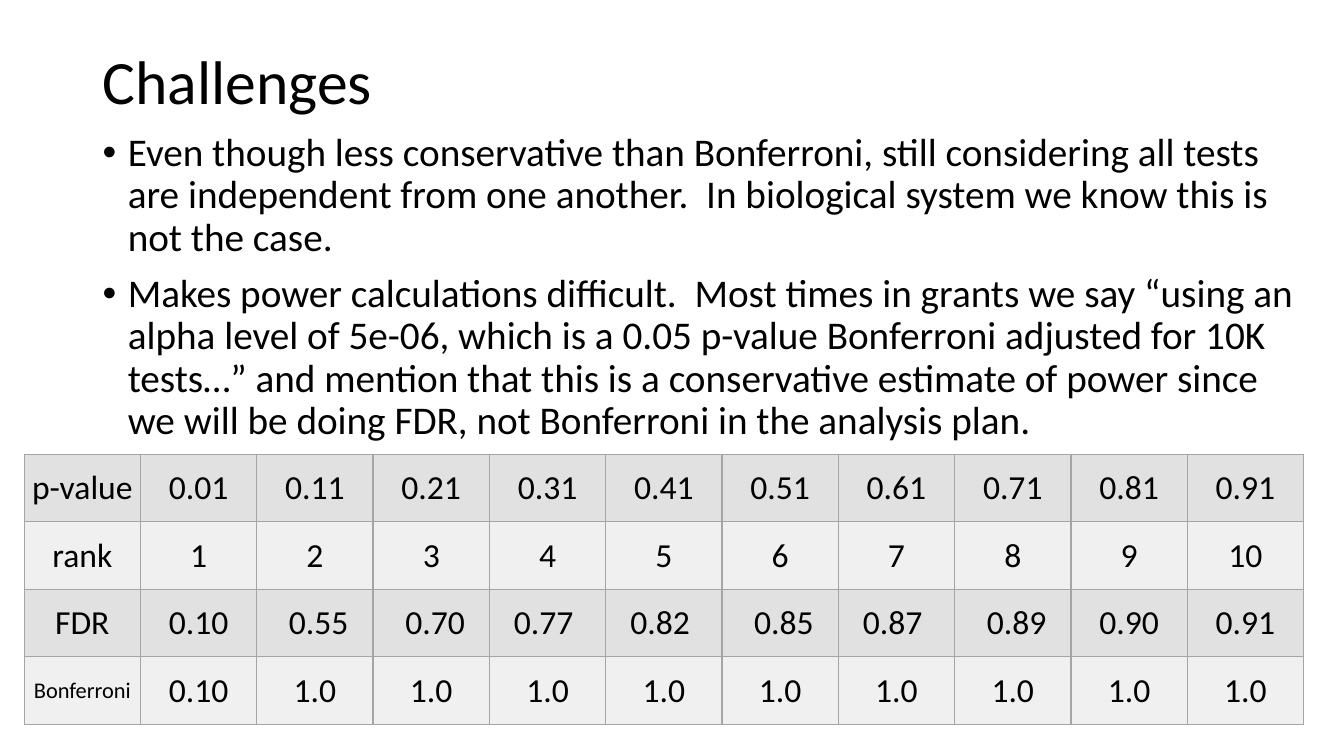
import pptx
import pptx.dml.color
import pptx.enum.text
import pptx.oxml
import pptx.oxml.ns
import pptx.util
import lxml.etree

THEME = {
    "font": "Calibri", "bullet_font": "Arial",
    "text": "000000", "border": "A5A5A5", "bands": ["E1E1E1", "F0F0F0"],
    "title": 44, "body": 28, "cell": 24, "small": 16,
}
MIDDLE = pptx.enum.text.MSO_ANCHOR.MIDDLE
CENTER = pptx.enum.text.PP_ALIGN.CENTER
qn = pptx.oxml.ns.qn

prs = pptx.Presentation()
prs.slide_width = pptx.util.Inches(13.33)
prs.slide_height = pptx.util.Inches(7.5)
s = prs.slides.add_slide(prs.slide_layouts[6])


def box(left, top, width, height):
    W, H = prs.slide_width, prs.slide_height
    return [round(side * share / 100) for side, share in
            zip((W, H, W, H), (left, top, width, height))]


def write(p, text, size, align=None, spacing=None, before=None, bullet=None):
    r = p.add_run()
    r.text = text
    r.font.name = THEME["font"]
    r.font.size = pptx.util.Pt(size)
    r.font.color.rgb = pptx.dml.color.RGBColor.from_string(THEME["text"])
    p.alignment = align
    p.line_spacing = spacing
    if before:
        p.space_before = pptx.util.Pt(before)
    if bullet:
        pPr = p._p.get_or_add_pPr()
        indent = pptx.util.Inches(0.25)
        pPr.set("marL", str(indent))
        pPr.set("indent", str(-indent))
        lxml.etree.SubElement(pPr, qn("a:buFont"), typeface=THEME["bullet_font"])
        lxml.etree.SubElement(pPr, qn("a:buChar"), char=bullet)


title = s.shapes.add_textbox(*box(6.9, 1.5, 86.3, 19.3)).text_frame
title.word_wrap = True
title.vertical_anchor = MIDDLE
write(title.paragraphs[0], "Challenges", THEME["title"], spacing=0.9)

points = [
    "Even though less conservative than Bonferroni, still considering all tests "
    "are independent from one another.  In biological system we know this is not the case.",
    "Makes power calculations difficult.  Most times in grants we say “using an alpha "
    "level of 5e-06, which is a 0.05 p-value Bonferroni adjusted for 10K tests…” and "
    "mention that this is a conservative estimate of power since we will be doing FDR, "
    "not Bonferroni in the analysis plan.",
]
body = s.shapes.add_textbox(*box(6.9, 16.9, 90.4, 63.5)).text_frame
body.word_wrap = True
for i, point in enumerate(points):
    p = body.add_paragraph() if i else body.paragraphs[0]
    write(p, point, THEME["body"], spacing=0.9, before=10, bullet="•")

rows = [
    ["p-value"] + [f"{0.01 + k / 10:.2f}" for k in range(10)],
    ["rank"] + [str(k) for k in range(1, 11)],
    ["FDR", "0.10", " 0.55", " 0.70", "0.77 ", "0.82 ",
     " 0.85", "0.87 ", " 0.89", "0.90", "0.91"],
    ["Bonferroni", "0.10"] + ["1.0"] * 9,
]
table = s.shapes.add_table(len(rows), len(rows[0]), *box(1.8, 60.1, 95.2, 35.7)).table
table.first_row = False
table.horz_banding = False
for i, row in enumerate(rows):
    for j, value in enumerate(row):
        cell = table.cell(i, j)
        cell.vertical_anchor = MIDDLE
        cell.margin_left = cell.margin_right = cell.margin_top = pptx.util.Inches(0.01)
        cell.margin_bottom = 0
        tcPr = cell._tc.get_or_add_tcPr()
        for side in ("a:lnL", "a:lnR", "a:lnT", "a:lnB"):
            ln = lxml.etree.SubElement(tcPr, qn(side), w=str(pptx.util.Pt(1)))
            fill = lxml.etree.SubElement(ln, qn("a:solidFill"))
            lxml.etree.SubElement(fill, qn("a:srgbClr"), val=THEME["border"])
        cell.fill.solid()
        cell.fill.fore_color.rgb = pptx.dml.color.RGBColor.from_string(THEME["bands"][i % 2])
        size = THEME["small"] if value == "Bonferroni" else THEME["cell"]
        write(cell.text_frame.paragraphs[0], value, size, align=CENTER)

prs.save("out.pptx")
